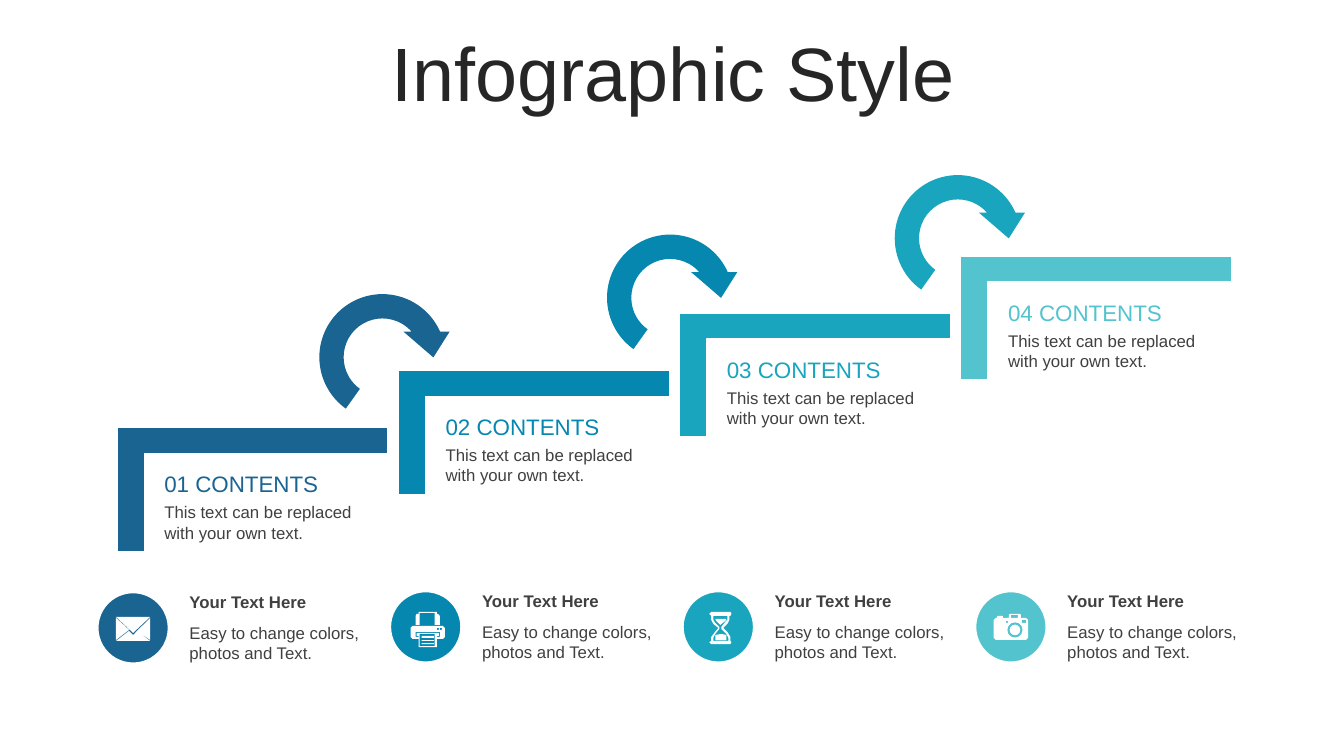
"""Build a four-step staircase infographic with an icon legend."""
from pptx import Presentation, util as u
from pptx.dml.color import RGBColor
from pptx.enum import shapes, text

Pt = u.Pt
kind = shapes.MSO_SHAPE
theme = {
    "hues": ["196491", "0587AF", "19A5BE", "53C3CD"],
    "white": "FFFFFF",
    "dark": "262626",
    "gray": "404040",
    "title": {"name": "Arial", "size": Pt(54), "bold": False},
    "head": {"name": "Arial", "size": Pt(16), "bold": False},
    "label": {"name": "Arial", "size": Pt(12), "bold": True},
    "body": {"name": "Arial", "size": Pt(12), "bold": False},
}


def paint(shape, fill, edge=None):
    shape.shadow.inherit = False
    shape.fill.solid()
    shape.fill.fore_color.rgb = RGBColor.from_string(fill)
    if edge:
        shape.line.color.rgb = RGBColor.from_string(edge)
        shape.line.width = Pt(1)
    else:
        shape.line.fill.background()


def write(shape, words, style, color, anchor=text.MSO_ANCHOR.TOP,
          fit=text.MSO_AUTO_SIZE.SHAPE_TO_FIT_TEXT):
    frame = shape.text_frame
    form = {"word_wrap": True, "auto_size": fit, "vertical_anchor": anchor}
    for key, value in form.items():
        setattr(frame, key, value)
    run = frame.paragraphs[0].add_run()
    run.text = words
    for key, value in theme[style].items():
        setattr(run.font, key, value)
    run.font.color.rgb = RGBColor.from_string(color)


deck = Presentation()
deck.slide_width, deck.slide_height = Pt(960), Pt(540)
slide = deck.slides.add_slide(deck.slide_layouts[5])
tree = slide.shapes

title = tree.title
place = {"left": Pt(25.2), "top": Pt(26.64), "width": Pt(911.5), "height": Pt(56.9)}
for key, value in place.items():
    setattr(title, key, value)
write(title, "Infographic Style", "title", theme["dark"],
      text.MSO_ANCHOR.MIDDLE, text.MSO_AUTO_SIZE.NONE)
line = {"alignment": text.PP_ALIGN.CENTER, "line_spacing": 0.9, "space_before": Pt(10)}
for key, value in line.items():
    setattr(title.text_frame.paragraphs[0], key, value)

for i, hue in enumerate(theme["hues"]):
    x, y = 200.9 * i, -40.8 * i
    step = tree.add_shape(kind.CORNER, Pt(136.1 + x), Pt(252.7 + y), Pt(88.6), Pt(193.7))
    step.rotation = 90
    step.adjustments[0], step.adjustments[1] = 0.221, 0.21
    paint(step, hue, theme["white"])
    head = tree.add_textbox(Pt(110.3 + x), Pt(331.9 + y), Pt(153), Pt(26.6))
    write(head, f"0{i + 1} CONTENTS", "head", hue, text.MSO_ANCHOR.BOTTOM)
    body = tree.add_textbox(Pt(110.3 + x), Pt(355.1 + y), Pt(153.7), Pt(36))
    write(body, "This text can be replaced with your own text.", "body", theme["gray"])

for i, hue in enumerate(theme["hues"][:3]):
    arrow = tree.add_shape(kind.CIRCULAR_ARROW, Pt(220.3 + 205.5 * i),
                           Pt(202.3 - 42.5 * i), Pt(105.8), Pt(105.8))
    for n, value in enumerate([0.164, 18.214, 197.903, 75.279, 0.156]):
        arrow.adjustments[n] = value
    paint(arrow, hue)

mail = [
    [(39, 38), (52, 48), (18, 48), (31, 38), (35, 42)],
    [(52, 25), (52, 47), (39, 38)],
    [(18, 25), (31, 37), (18, 47)],
    [(18, 24), (52, 24), (35, 40)],
]
print_boxes = [(31, 51, 43, 52), (31, 48, 43, 49), (31, 44, 43, 46),
               (29, 42, 44, 54), (46, 36, 48, 38), (49, 36, 51, 38)]
printer = [
    [(25, 40), (25, 45), (28, 45), (28, 44), (26, 44), (26, 41),
     (48, 41), (48, 44), (46, 44), (46, 45), (49, 45), (49, 40)],
    [(22, 34), (52, 34), (54, 36), (54, 45), (52, 47), (46, 47),
     (46, 55), (28, 55), (28, 47), (22, 47), (20, 45), (20, 36)],
    [(28, 20), (46, 20), (46, 22), (47, 22), (49, 24), (49, 33), (44, 33),
     (44, 21), (29, 21), (29, 33), (25, 33), (25, 24), (26, 22), (28, 22)],
]
timer = [
    [(38, 42), (43, 43), (43, 48), (32, 48), (32, 43)],
    [(32, 27), (43, 27), (42, 29), (37, 33), (33, 29)],
    [(30, 24), (30, 28), (32, 31), (36, 35), (36, 37), (32, 42), (30, 46), (30, 49),
     (45, 49), (45, 46), (43, 42), (38, 37), (38, 35), (42, 30), (44, 28), (44, 24)],
    [(28, 20), (47, 20), (48, 22), (47, 24), (46, 24), (46, 28), (44, 32), (40, 36),
     (44, 40), (47, 45), (47, 49), (48, 50), (47, 52), (28, 52), (26, 50), (28, 49),
     (28, 45), (31, 41), (35, 36), (30, 32), (28, 28), (28, 24), (26, 22)],
]
photo_boxes = [(35, 23, 42, 26), (46, 28, 50, 31), (30, 29, 32, 31)]
photo = [
    [(34, 22), (44, 22), (45, 23), (45, 26), (50, 26), (52, 28), (52, 46), (50, 48),
     (20, 48), (18, 46), (18, 28), (20, 26), (21, 26), (21, 25), (22, 24), (27, 24),
     (27, 26), (33, 26), (33, 23)],
]
icons = [(mail, []), (printer, print_boxes), (timer, []), (photo, photo_boxes)]
grid = 0.72

for i, (hue, (forms, boxes)) in enumerate(zip(theme["hues"], icons)):
    x, y = 69.9 + 209 * i, 422.6 if i else 423.3
    disc = tree.add_shape(kind.OVAL, Pt(x), Pt(y), Pt(50.4), Pt(50.4))
    paint(disc, hue, theme["white"])
    label = tree.add_textbox(Pt(x + 58.3), Pt(y - 4.3), Pt(140.4), Pt(21.6))
    write(label, "Your Text Here", "label", theme["gray"])
    body = tree.add_textbox(Pt(x + 58.3), Pt(y + 18), Pt(140.4), Pt(36))
    write(body, "Easy to change colors, photos and Text.", "body", theme["gray"])
    rings = forms + [[(l, t), (r, t), (r, b), (l, b)] for l, t, r, b in boxes]
    pen = tree.build_freeform(*rings[0][0], scale=Pt(grid))
    for ring in rings:
        pen.move_to(*ring[0])
        pen.add_line_segments(ring[1:], close=True)
    paint(pen.convert_to_shape(Pt(x), Pt(y)), theme["white"])

lens = tree.add_shape(kind.DONUT, Pt(x + 31.5 * grid), Pt(y + 30.5 * grid),
                      Pt(15 * grid), Pt(15 * grid))
lens.adjustments[0] = 0.14
paint(lens, hue)

deck.save("out.pptx")
